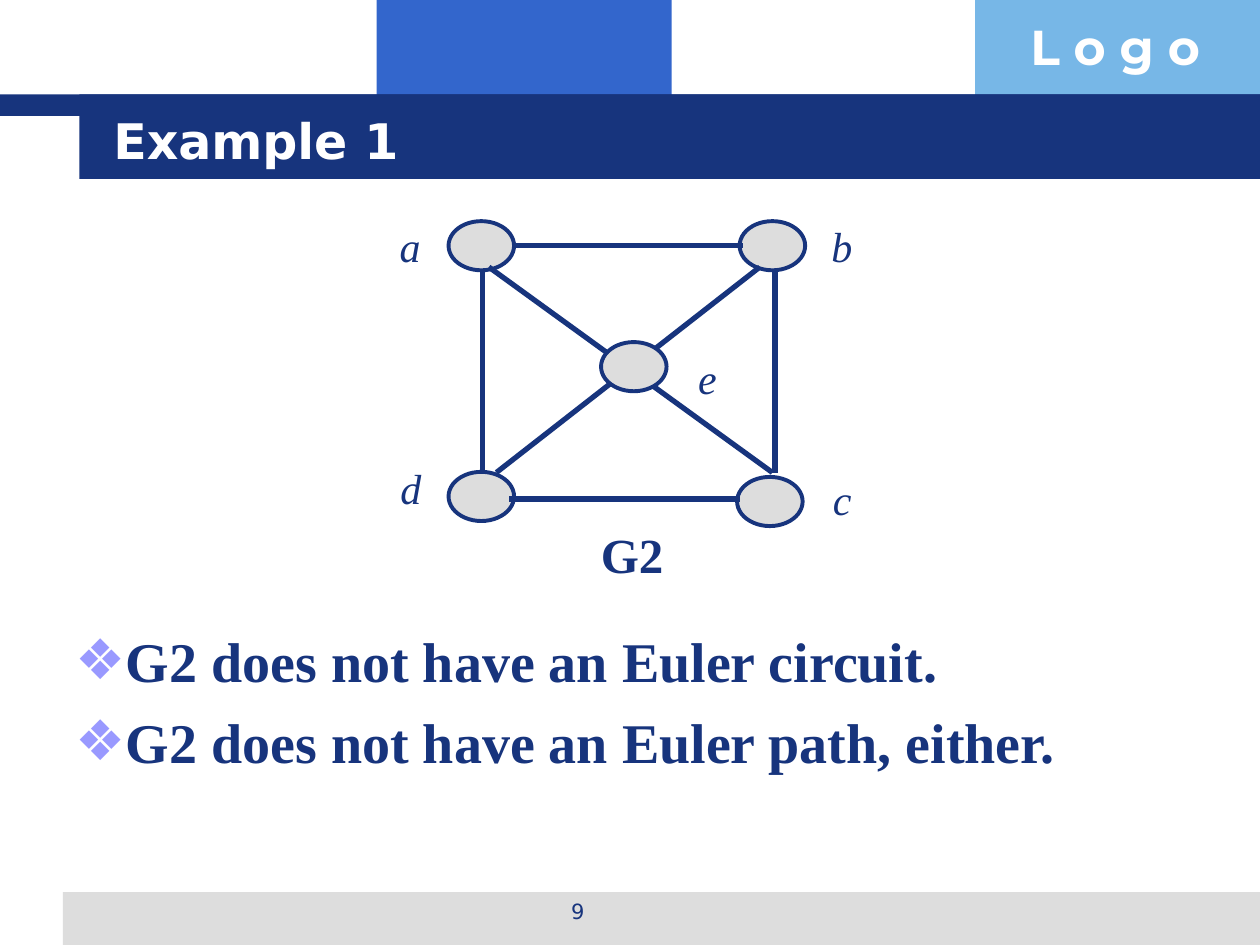
from lxml import etree
from pptx import Presentation
from pptx.dml.color import RGBColor
from pptx.enum.shapes import MSO_CONNECTOR, MSO_SHAPE
from pptx.enum.text import MSO_ANCHOR, MSO_AUTO_SIZE, PP_ALIGN
from pptx.oxml.ns import qn
from pptx.util import Inches, Pt

RECT, OVAL = MSO_SHAPE.RECTANGLE, MSO_SHAPE.OVAL
STRAIGHT = MSO_CONNECTOR.STRAIGHT
TOP, MIDDLE = MSO_ANCHOR.TOP, MSO_ANCHOR.MIDDLE
LEFT, CENTER = PP_ALIGN.LEFT, PP_ALIGN.CENTER
NO_FIT = MSO_AUTO_SIZE.NONE

WIDTH, HEIGHT = 10, 7.5
NAVY, BLUE, SKY = "17347D", "3366CC", "77B7E7"
GREY, LILAC, WHITE = "DDDDDD", "9999FF", "FFFFFF"
SANS, SERIF, LOGO_FONT = "DejaVu Sans", "Times New Roman", "Montserrat"

# Graph G2: node centres, label boxes (left, top, width), edge ends
NODE_SIZE = (0.52, 0.39)
NODES = {"a": (3.82, 1.95), "b": (6.13, 1.95), "c": (6.11, 3.98),
         "d": (3.82, 3.94), "e": (5.03, 2.91)}
LABELS = {"a": (3, 1.7, 0.51), "b": (6.5, 1.7, 0.36), "c": (6.51, 3.71, 0.35),
          "d": (3.08, 3.62, 0.36), "e": (5.44, 2.75, 0.35)}
SIDES = [(3.83, 2.14, 3.83, 3.73), (6.15, 2.15, 6.15, 3.75)]
DIAGONALS = [(6.13, 3.75, 3.88, 2.12), (3.94, 3.75, 6.03, 2.12)]
LEVELS = [(4.07, 1.95, 5.9, 1.95), (4.04, 3.96, 5.87, 3.96)]
STATEMENTS = ["G2 does not have an Euler circuit.",
              "G2 does not have an Euler path, either."]


def color(value):
    return RGBColor.from_string(value)


def place(shape, left, top, width, height):
    shape.left, shape.top = Inches(left), Inches(top)
    shape.width, shape.height = Inches(width), Inches(height)


def add_span(para, text, size, font, ink, bold=False, italic=False):
    span = para.add_run()
    span.text = text
    span.font.size, span.font.name = Pt(size), font
    span.font.bold, span.font.italic = bold, italic
    span.font.color.rgb = color(ink)


def add_figure(page, kind, box, fill, line=None):
    shape = page.shapes.add_shape(kind, *(Inches(value) for value in box))
    shape.shadow.inherit = False
    shape.fill.solid()
    shape.fill.fore_color.rgb = color(fill)
    if line:
        shape.line.color.rgb = color(line)
        shape.line.width = Pt(2.25)
    else:
        shape.line.fill.background()


def add_node(page, name):
    (x, y), (width, height) = NODES[name], NODE_SIZE
    add_figure(page, OVAL, (x - width / 2, y - height / 2, width, height), GREY, NAVY)


def add_edge(page, ends):
    edge = page.shapes.add_connector(STRAIGHT, *(Inches(value) for value in ends))
    edge.line.color.rgb = color(NAVY)
    edge.line.width = Pt(3)
    etree.SubElement(edge._element.spPr, qn("a:effectLst"))


def add_label(page, text, box, size, font, ink=NAVY, align=LEFT, anchor=TOP, **style):
    frame = page.shapes.add_textbox(*(Inches(value) for value in box)).text_frame
    frame.word_wrap, frame.vertical_anchor = True, anchor
    para = frame.paragraphs[0]
    para.alignment = align
    add_span(para, text, size, font, ink, **style)


def add_bullet(para):
    props = para._p.get_or_add_pPr()
    props.set("marL", str(Inches(0.38)))
    props.set("indent", str(-Inches(0.38)))
    tint = etree.SubElement(props, qn("a:buClr"))
    etree.SubElement(tint, qn("a:srgbClr"), val=LILAC)
    etree.SubElement(props, qn("a:buFont"), typeface=SANS)
    etree.SubElement(props, qn("a:buChar"), char="❖")


def add_frame(page):
    # Header blocks, title band and footer strip
    add_figure(page, RECT, (2.99, 0, 2.34, 0.92), BLUE)
    add_figure(page, RECT, (7.74, 0, 2.26, 0.92), SKY)
    add_figure(page, RECT, (0.5, 7.08, WIDTH - 0.5, 0.42), GREY)
    add_figure(page, RECT, (0, 0.75, WIDTH, 0.17), NAVY)
    add_figure(page, RECT, (0.63, 0.75, WIDTH - 0.63, 0.67), NAVY)
    add_label(page, "L o g o", (8.08, 0.08, 1.93, 0.57), 28, LOGO_FONT, WHITE, bold=True)
    add_label(page, "9", (3.42, 7.08, 2.33, 0.35), 12, SANS, align=CENTER)


def fill_title(title, text):
    place(title, 0.8, 0.8, 8.53, 0.62)
    frame = title.text_frame
    frame.auto_size, frame.vertical_anchor = NO_FIT, MIDDLE
    para = frame.paragraphs[0]
    para.alignment = LEFT
    add_span(para, text, 28, SANS, WHITE, bold=True)


def fill_body(body, lines):
    place(body, 0.5, 4.92, 9, 1.97)
    frame = body.text_frame
    frame.auto_size = NO_FIT
    for number, line in enumerate(lines):
        para = frame.add_paragraph() if number else frame.paragraphs[0]
        add_bullet(para)
        para.space_before = Pt(8 if number else 0)
        add_span(para, line, 32, SERIF, NAVY, bold=True)


def add_graph(page):
    # Later parts cover earlier ones, so node e hides the crossing
    for ends in SIDES:
        add_edge(page, ends)
    for name in "adcb":
        add_node(page, name)
    for ends in DIAGONALS + LEVELS:
        add_edge(page, ends)
    add_node(page, "e")
    for name, (left, top, width) in LABELS.items():
        add_label(page, name, (left, top, width, 0.5), 24, SERIF, align=CENTER,
                  anchor=MIDDLE, italic=True)
    # Caption, wide enough to stay on one line
    add_label(page, "G2", (4.67, 4.11, 0.8, 0.57), 28, SERIF, bold=True)


def main():
    deck = Presentation()
    deck.slide_width, deck.slide_height = Inches(WIDTH), Inches(HEIGHT)
    page = deck.slides.add_slide(deck.slide_layouts[1])
    title, body = page.placeholders
    add_frame(page)
    # Bring the placeholders in front of the title band
    for holder in (title, body):
        page.shapes._spTree.append(holder._element)
    fill_title(title, "Example 1")
    fill_body(body, STATEMENTS)
    add_graph(page)
    deck.save("out.pptx")


if __name__ == "__main__":
    main()
